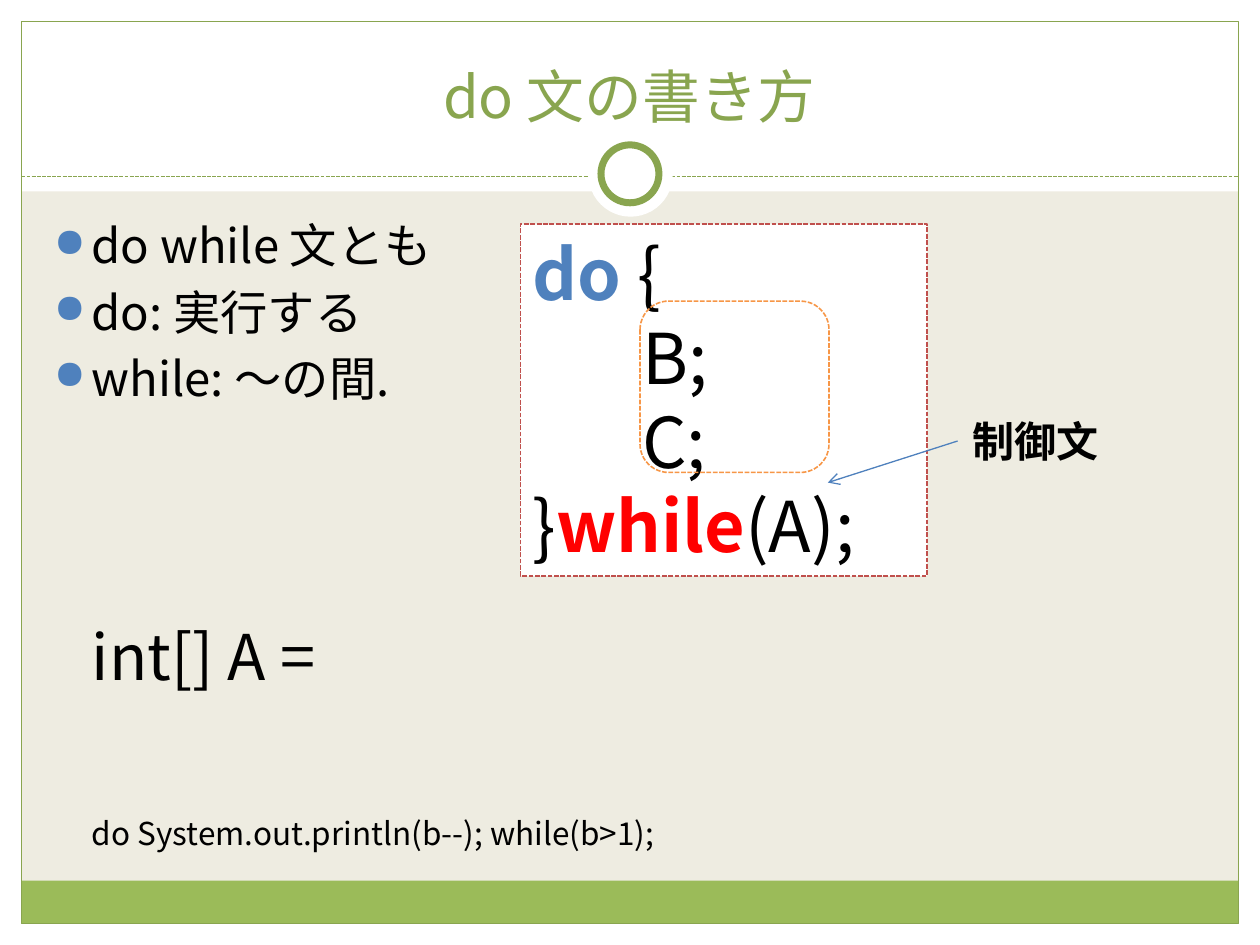
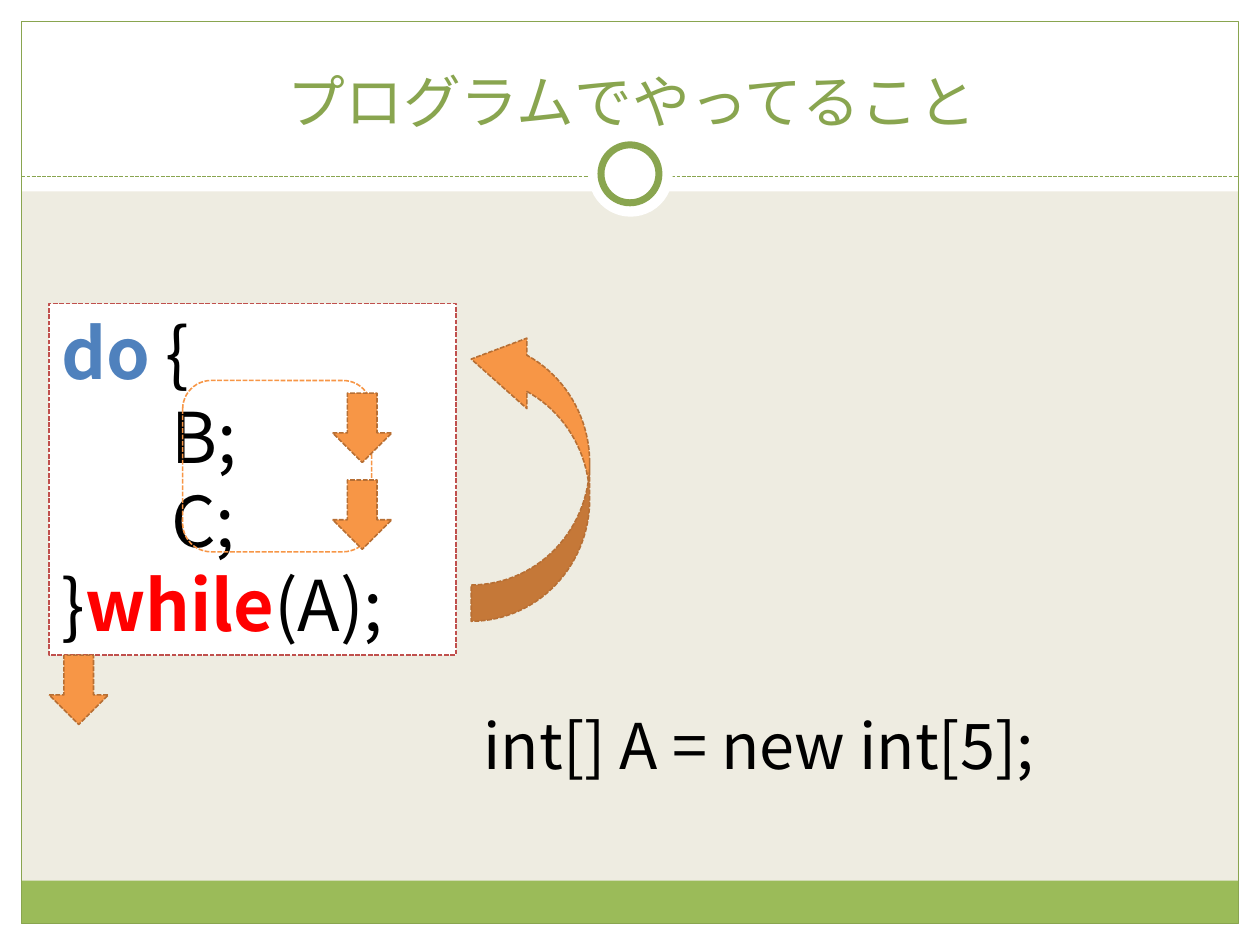
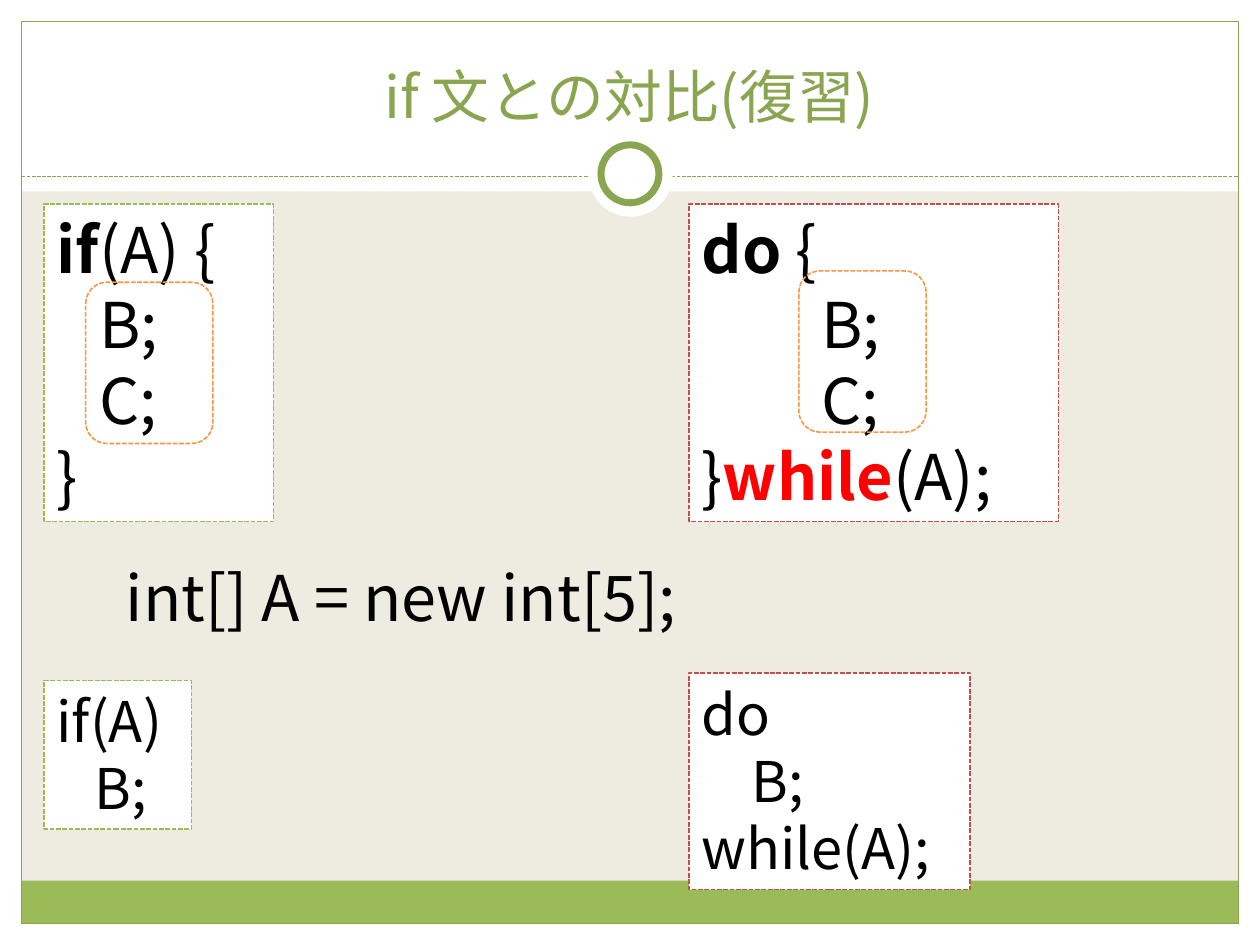
from dataclasses import dataclass

from lxml import etree
from pptx import Presentation
from pptx.dml.color import RGBColor
from pptx.enum.dml import MSO_LINE
from pptx.enum.shapes import MSO_CONNECTOR, MSO_SHAPE
from pptx.enum.text import MSO_ANCHOR, PP_ALIGN
from pptx.oxml.ns import qn
from pptx.util import Inches, Pt

FONT = "Noto Sans CJK JP"
WHITE = RGBColor(0xFF, 0xFF, 0xFF)
BLACK = RGBColor(0, 0, 0)
BEIGE = RGBColor(0xEE, 0xEC, 0xE1)
GREEN = RGBColor(0x9B, 0xBB, 0x59)
DARK_GREEN = RGBColor(0x89, 0xA5, 0x4F)
BLUE = RGBColor(0x4F, 0x81, 0xBD)
CRIMSON = RGBColor(0xC0, 0x50, 0x4D)
RED = RGBColor(0xFF, 0, 0)
ORANGE = RGBColor(0xF7, 0x96, 0x46)
BROWN = RGBColor(0xB7, 0x6F, 0x34)

RECT, ROUND, OVAL = MSO_SHAPE.RECTANGLE, MSO_SHAPE.ROUNDED_RECTANGLE, MSO_SHAPE.OVAL
DOWN, CURVED_UP = MSO_SHAPE.DOWN_ARROW, MSO_SHAPE.CURVED_UP_ARROW
DASH = MSO_LINE.SQUARE_DOT
STRAIGHT = MSO_CONNECTOR.STRAIGHT
TOP, BOTTOM = MSO_ANCHOR.TOP, MSO_ANCHOR.BOTTOM
LEFT, CENTER = PP_ALIGN.LEFT, PP_ALIGN.CENTER

WIDTH, HEIGHT, EDGE = 10, 7.5, 0.17
RULE_Y = 1.4


@dataclass
class Box:
    """Left, top, width and height in inches."""
    x: float
    y: float
    w: float
    h: float

    def emu(self) -> list:
        """Return the four lengths for python-pptx."""
        return [Inches(v) for v in (self.x, self.y, self.w, self.h)]


@dataclass
class Span:
    """A piece of a line with its own colour and weight."""
    text: str
    color: RGBColor = BLACK
    bold: bool = False


@dataclass
class Line:
    """One paragraph, indented in inches."""
    spans: list
    indent: float = 0


@dataclass
class Code:
    """A dashed box of code, with an optional frame round its body."""
    box: Box
    lines: list
    size: float
    border: RGBColor
    frame: Box | None = None


def plain(text: str, indent: float = 0, color: RGBColor = BLACK, bold: bool = False) -> Line:
    """Make a line in a single style."""
    return Line([Span(text, color, bold)], indent)


def add_shape(s, kind, box: Box, fill=None, line=None, width: float = 0.9, dash=None):
    """Draw a preset shape without shadow."""
    sp = s.shapes.add_shape(kind, *box.emu())
    sp.shadow.inherit = False
    if fill is None:
        sp.fill.background()
    else:
        sp.fill.solid()
        sp.fill.fore_color.rgb = fill
    if line is None:
        sp.line.fill.background()
    else:
        sp.line.color.rgb = line
        sp.line.width = Pt(width)
        if dash is not None:
            sp.line.dash_style = dash
    return sp


def add_line(s, start: tuple, end: tuple, color: RGBColor, dash=None, arrow: bool = False):
    """Draw a thin straight line, with an open arrowhead if wanted."""
    c = s.shapes.add_connector(STRAIGHT, *[Inches(v) for v in (*start, *end)])
    c.line.color.rgb = color
    c.line.width = Pt(0.75)
    if dash is not None:
        c.line.dash_style = dash
    if arrow:
        etree.SubElement(c.line._get_or_add_ln(), qn("a:tailEnd"), type="arrow")
    etree.SubElement(c._element.spPr, qn("a:effectLst"))


def set_font(font, span: Span) -> None:
    """Apply colour and weight."""
    font.color.rgb = span.color
    font.bold = span.bold


def write(sp, lines: list, size: float, align=LEFT, anchor=TOP) -> None:
    """Fill a shape or text box with lines."""
    tf = sp.text_frame
    tf.word_wrap = True
    tf.vertical_anchor = anchor
    for i, line in enumerate(lines):
        p = tf.add_paragraph() if i else tf.paragraphs[0]
        p.alignment = align
        p.font.name = FONT
        p.font.size = Pt(size)
        pPr = p._p.get_or_add_pPr()
        etree.SubElement(pPr.find(qn("a:defRPr")), qn("a:ea"), typeface=FONT)
        pPr.set("marL", str(Inches(line.indent)))
        for span in line.spans:
            r = p.add_run()
            r.text = span.text
            if len(line.spans) > 1:
                set_font(r.font, span)
        if len(line.spans) == 1:
            set_font(p.font, line.spans[0])


def add_text(s, box: Box, lines: list, size: float, align=LEFT, anchor=TOP):
    """Add a text box."""
    tb = s.shapes.add_textbox(*box.emu())
    write(tb, lines, size, align, anchor)
    return tb


def add_bullets(s, box: Box, texts: list) -> None:
    """Add a list with round blue bullets."""
    tb = add_text(s, box, [plain(t, 0.3) for t in texts], 27)
    for p in tb.text_frame.paragraphs:
        p.space_before = Pt(5.4)
        pPr = p._p.get_or_add_pPr()
        pPr.set("indent", str(Inches(-0.3)))
        color = etree.Element(qn("a:buClr"))
        etree.SubElement(color, qn("a:srgbClr"), val=str(BLUE))
        size = etree.Element(qn("a:buSzPct"), val="85000")
        char = etree.Element(qn("a:buChar"), char="●")
        for el in (color, size, char):
            pPr.find(qn("a:defRPr")).addprevious(el)


def add_code(s, code: Code) -> None:
    """Draw a code box and the frame round its body."""
    sp = add_shape(s, RECT, code.box, WHITE, code.border, dash=DASH)
    write(sp, code.lines, code.size)
    if code.frame:
        add_shape(s, ROUND, code.frame, line=ORANGE, dash=DASH)


def add_do_while(s, x: float, y: float) -> None:
    """Draw the large do-while pattern at a place."""
    lines = [Line([Span("do", BLUE, True), Span(" {")]),
             plain("B;", 0.87), plain("C;", 0.87), WHILE_END]
    add_code(s, Code(Box(x, y, 3.23, 2.79), lines, 40, CRIMSON,
                     Box(x + 0.95 + 0.11 * (x < 1), y + 0.61, 1.5, 1.36)))


def new_slide(prs, title: str, title_box: Box):
    """Add a slide with its borders, band, ring and title."""
    s = prs.slides.add_slide(prs.slide_layouts[6])
    s.background.fill.solid()
    s.background.fill.fore_color.rgb = BEIGE
    inner_w, bottom = WIDTH - 2 * EDGE, HEIGHT - EDGE
    for box in (Box(0, bottom, WIDTH, EDGE), Box(0, 0, WIDTH, 1.52),
                Box(0, 0, EDGE, HEIGHT), Box(WIDTH - EDGE, 0, EDGE, HEIGHT)):
        add_shape(s, RECT, box, WHITE)
    add_shape(s, RECT, Box(EDGE, bottom - 0.34, inner_w, 0.34), GREEN)
    add_shape(s, RECT, Box(EDGE, EDGE, inner_w, HEIGHT - 2 * EDGE), line=DARK_GREEN, width=0.75)
    add_line(s, (EDGE, RULE_Y), (WIDTH - EDGE, RULE_Y), DARK_GREEN, DASH)
    add_shape(s, OVAL, Box(4.67, 1.05, 0.67, 0.67), WHITE)
    add_shape(s, OVAL, Box(4.77, 1.15, 0.46, 0.46), WHITE, DARK_GREEN, 4)
    add_text(s, title_box, [plain(title, color=DARK_GREEN)], 33, CENTER, BOTTOM)
    return s


WHILE_END = Line([Span("}"), Span("while", RED, True), Span("(A);")])
TITLE = Box(0.33, 0.25, 9.33, 0.83)
NEW_ARRAY = [plain("int[] A = new int[5];")]


def syntax_slide(prs) -> None:
    """How a do statement is written."""
    s = new_slide(prs, "do 文の書き方", TITLE)
    add_bullets(s, Box(0.33, 1.67, 9.3, 1.77), ["do while 文とも", "do: 実行する", "while: ～の間."])
    add_do_while(s, 4.13, 1.78)
    add_text(s, Box(0.63, 6.41, 5.15, 0.4), [plain("do System.out.println(b--); while(b>1);")], 18)
    add_text(s, Box(7.62, 3.25, 1.21, 0.5), [plain("制御文", bold=True)], 24)
    add_line(s, (7.6, 3.5), (6.57, 3.83), BLUE, arrow=True)
    add_text(s, Box(0.63, 4.85, 2.37, 0.71), [plain("int[] A =")], 36)


def flow_slide(prs) -> None:
    """The order in which the program runs."""
    s = new_slide(prs, "プログラムでやってること", Box(0.35, 0.29, 9.33, 0.83))
    add_do_while(s, 0.39, 2.41)
    for x, y in ((2.64, 3.12), (2.64, 3.81), (0.39, 5.2)):
        add_shape(s, DOWN, Box(x, y, 0.47, 0.55), ORANGE, BROWN, dash=DASH)
    loop = add_shape(s, CURVED_UP, Box(3.03, 3.28, 2.36, 0.94), ORANGE, BROWN, dash=DASH)
    loop.rotation = 270
    for i, value in enumerate((0.306, 0.594, 0.47)):
        loop.adjustments[i] = value
    add_text(s, Box(3.74, 5.56, 5.34, 0.71), NEW_ARRAY, 36)


def compare_slide(prs) -> None:
    """The if statement beside the do statement."""
    s = new_slide(prs, "if 文との対比(復習)", TITLE)
    left, right, top = 0.35, 5.47, 1.62
    codes = [
        Code(Box(left, 5.4, 1.17, 1.18), [plain("if(A)"), plain("B;", 0.3)], 32, GREEN),
        Code(Box(right, 5.34, 2.23, 1.72),
             [plain("do"), plain("B;", 0.4), plain("while(A);")], 32, CRIMSON),
        Code(Box(right, top, 2.93, 2.52),
             [Line([Span("do", bold=True), Span(" {")]),
              plain("B;", 0.95), plain("C;", 0.95), WHILE_END],
             36, CRIMSON, Box(6.34, 2.15, 1.01, 1.28)),
        Code(Box(left, top, 1.82, 2.52),
             [Line([Span("if", bold=True), Span("(A) {")]),
              plain("B;", 0.34), plain("C;", 0.34), plain("}")],
             36, GREEN, Box(0.68, 2.24, 1.01, 1.28)),
    ]
    for code in codes:
        add_code(s, code)
    add_text(s, Box(0.9, 4.38, 5.34, 0.71), NEW_ARRAY, 36)


def main() -> None:
    """Build the three slides."""
    prs = Presentation()
    prs.slide_width, prs.slide_height = Inches(WIDTH), Inches(HEIGHT)
    for build in (syntax_slide, flow_slide, compare_slide):
        build(prs)
    prs.save("out.pptx")


main()
